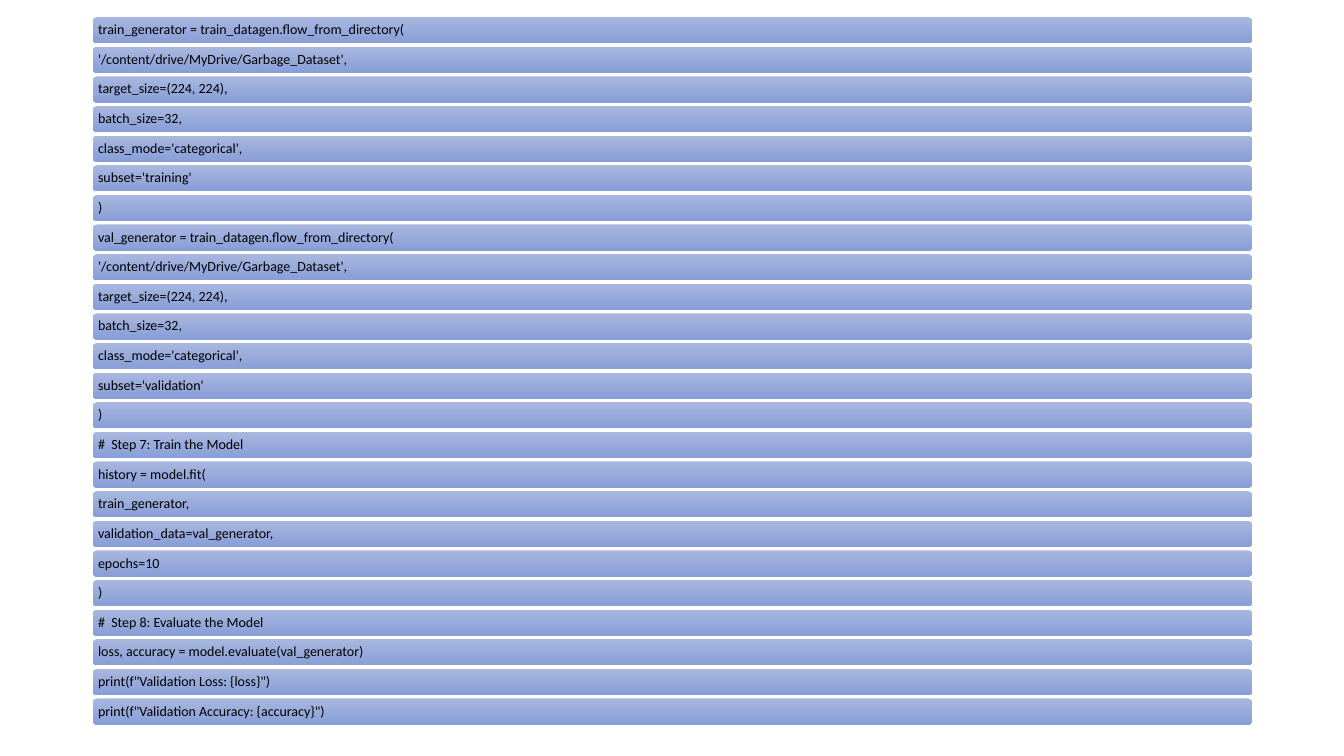
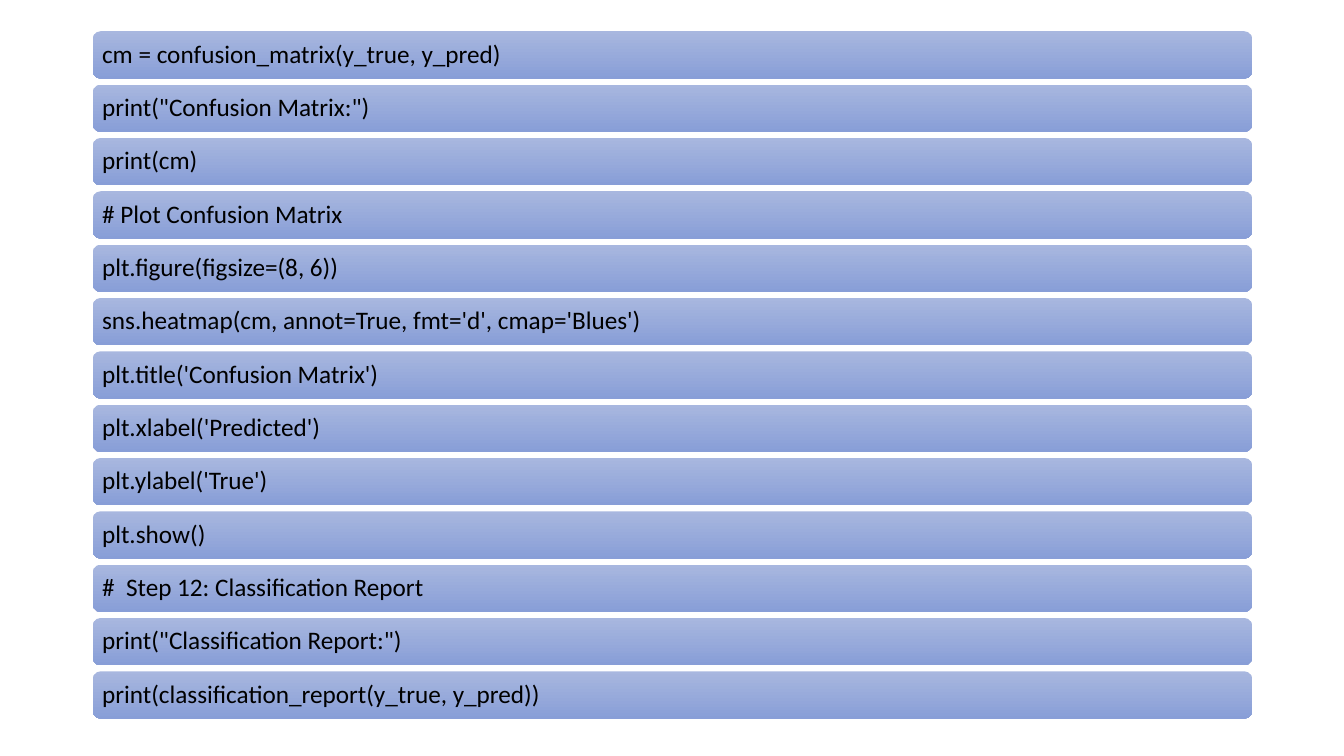
import pptx
import pptx.dml.color
import pptx.enum.shapes
import pptx.enum.text
import pptx.util

Inches = pptx.util.Inches

FONT = "Calibri"
TEXT_COLOR = "000000"
BAR_TOP_COLOR = "A8B7DF"
BAR_BOTTOM_COLOR = "889ED7"
BAR_LEFT = 0.92
BAR_WIDTH = 11.5

TRAINING_CODE = [
    "train_generator = train_datagen.flow_from_directory(",
    "'/content/drive/MyDrive/Garbage_Dataset',",
    "target_size=(224, 224),",
    "batch_size=32,",
    "class_mode='categorical',",
    "subset='training'",
    ")",
    "val_generator = train_datagen.flow_from_directory(",
    "'/content/drive/MyDrive/Garbage_Dataset',",
    "target_size=(224, 224),",
    "batch_size=32,",
    "class_mode='categorical',",
    "subset='validation'",
    ")",
    "#  Step 7: Train the Model",
    "history = model.fit(",
    "train_generator,",
    "validation_data=val_generator,",
    "epochs=10",
    ")",
    "#  Step 8: Evaluate the Model",
    "loss, accuracy = model.evaluate(val_generator)",
    'print(f"Validation Loss: {loss}")',
    'print(f"Validation Accuracy: {accuracy}")',
]

REPORT_CODE = [
    "cm = confusion_matrix(y_true, y_pred)",
    'print("Confusion Matrix:")',
    "print(cm)",
    "# Plot Confusion Matrix",
    "plt.figure(figsize=(8, 6))",
    "sns.heatmap(cm, annot=True, fmt='d', cmap='Blues')",
    "plt.title('Confusion Matrix')",
    "plt.xlabel('Predicted')",
    "plt.ylabel('True')",
    "plt.show()",
    "#  Step 12: Classification Report",
    'print("Classification Report:")',
    "print(classification_report(y_true, y_pred))",
]


def set_color(color, hex_color):
    color.rgb = pptx.dml.color.RGBColor.from_string(hex_color)


def fill_bar(sp):
    """Give the bar its vertical gradient, without outline or shadow."""
    sp.shadow.inherit = False
    sp.line.fill.background()
    sp.fill.gradient()
    sp.fill.gradient_angle = 270
    for stop, color in zip(sp.fill.gradient_stops, (BAR_TOP_COLOR, BAR_BOTTOM_COLOR)):
        set_color(stop.color, color)


def add_bar(s, text, top, height, size, inset):
    sp = s.shapes.add_shape(
        pptx.enum.shapes.MSO_SHAPE.ROUNDED_RECTANGLE,
        Inches(BAR_LEFT), Inches(top), Inches(BAR_WIDTH), Inches(height))
    fill_bar(sp)
    tf = sp.text_frame
    tf.word_wrap = True
    tf.vertical_anchor = pptx.enum.text.MSO_ANCHOR.MIDDLE
    tf.margin_left = tf.margin_right = Inches(inset)
    tf.margin_top = tf.margin_bottom = Inches(inset)
    p = tf.paragraphs[0]
    p.alignment = pptx.enum.text.PP_ALIGN.LEFT
    p.line_spacing = 0.9
    r = p.add_run()
    r.text = text
    r.font.name = FONT
    r.font.size = pptx.util.Pt(size)
    set_color(r.font.color, TEXT_COLOR)


def add_code_slide(prs, lines, first_top, last_top, height, size, inset):
    """Add a slide with one bar per code line, evenly spaced."""
    s = prs.slides.add_slide(prs.slide_layouts.get_by_name("Blank"))
    pitch = (last_top - first_top) / (len(lines) - 1)
    for i, line in enumerate(lines):
        add_bar(s, line, first_top + i * pitch, height, size, inset)


def main():
    prs = pptx.Presentation()
    prs.slide_width = Inches(13.33)
    prs.slide_height = Inches(7.5)
    add_code_slide(prs, TRAINING_CODE, first_top=0.17, last_top=6.93,
                   height=0.26, size=10, inset=0.04)
    add_code_slide(prs, REPORT_CODE, first_top=0.31, last_top=6.66,
                   height=0.47, size=18, inset=0.07)
    prs.save("out.pptx")


if __name__ == "__main__":
    main()
